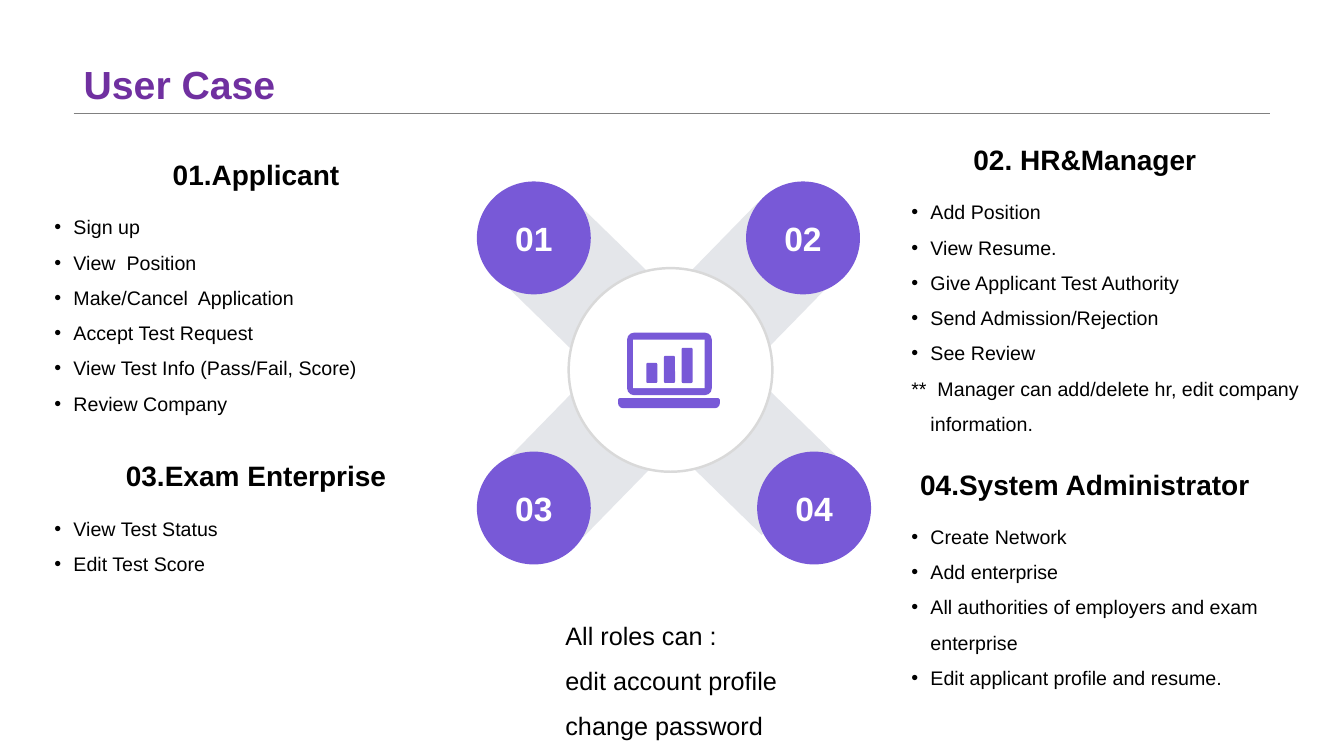
import math
from lxml import etree
from pptx import Presentation
from pptx import util as u
from pptx.dml.color import RGBColor
from pptx.enum import shapes, text
from pptx.oxml import ns

PURPLE, GREY, WHITE, BLACK = "7859D7", "E4E6EA", "FFFFFF", "000000"

# heading, heading left, list left, top, list width, list height, bullets, closing remark
SECTIONS = [
    ("01.Applicant", 0.72, 0.44, 1.49, 3.93, 2.2,
     ["Sign up", "View  Position", "Make/Cancel  Application", "Accept Test Request",
      "View Test Info (Pass/Fail, Score)", "Review Company"], None),
    ("02. HR&Manager", 8.94, 8.94, 1.34, 4.19, 2.55,
     ["Add Position", "View Resume.", "Give Applicant Test Authority",
      "Send Admission/Rejection", "See Review"],
     "**  Manager can add/delete hr, edit company information."),
    ("03.Exam Enterprise", 0.72, 0.44, 4.48, 3.93, 0.95,
     ["View Test Status", "Edit Test Score"], None),
    ("04.System Administrator", 8.94, 8.94, 4.56, 4.23, 1.85,
     ["Create Network", "Add enterprise",
      "All authorities of employers and exam enterprise",
      "Edit applicant profile and resume."], None),
]
BADGES = [("01", 4.73, 1.8), ("02", 7.4, 1.8), ("03", 4.73, 4.48), ("04", 7.51, 4.48)]


def colour(value):
    """Turn a hex string into a colour."""
    return RGBColor.from_string(value)


def paint(shape, fill, line=None, width=1):
    """Give a shape a flat fill, an optional outline and no shadow."""
    shape.shadow.inherit = False
    shape.fill.solid()
    shape.fill.fore_color.rgb = colour(fill)
    if line:
        shape.line.color.rgb = colour(line)
        shape.line.width = u.Pt(width)
    else:
        shape.line.fill.background()


def add_preset(page, kind, left, top, width, height, fill, line=None, weight=1):
    """Add a painted preset shape."""
    shape = page.shapes.add_shape(kind, *map(u.Inches, (left, top, width, height)))
    paint(shape, fill, line, weight)
    return shape


def write(para, words, size, ink=BLACK, bold=False, align=text.PP_ALIGN.LEFT, spacing=1.0):
    """Put one formatted run in a paragraph."""
    para.alignment = align
    para.line_spacing = spacing
    span = para.add_run()
    span.text = words
    span.font.name = "Arial"
    span.font.size = u.Pt(size)
    span.font.bold = bold
    span.font.color.rgb = colour(ink)


def add_lines(page, left, top, width, height, lines, size):
    """Add a wrapping text box with one widely spaced paragraph per line."""
    box = page.shapes.add_textbox(*map(u.Inches, (left, top, width, height)))
    frame = box.text_frame
    frame.word_wrap = True
    for index, words in enumerate(lines):
        para = frame.add_paragraph() if index else frame.paragraphs[0]
        write(para, words, size, spacing=1.5)
    return frame


def hang(para, bullet):
    """Give a paragraph a hanging indent, with or without a bullet."""
    props = para._p.get_or_add_pPr()
    props.set("marL", str(u.Inches(0.19)))
    props.set("indent", str(-u.Inches(0.19)))
    if bullet:
        etree.SubElement(props, ns.qn("a:buFont")).set("typeface", "Arial")
        etree.SubElement(props, ns.qn("a:buChar")).set("char", "•")
    else:
        etree.SubElement(props, ns.qn("a:buNone"))


def add_title(page, left, width, bottom):
    """Place the title on its thin rule."""
    title = page.shapes.title
    title.left, title.top, title.width, title.height = map(u.Inches, (left, 0, width, bottom))
    frame = title.text_frame
    frame.auto_size = text.MSO_AUTO_SIZE.NONE
    frame.vertical_anchor = text.MSO_ANCHOR.BOTTOM
    write(frame.paragraphs[0], "User Case", 28, "7030A0", True, spacing=0.9)
    rule = page.shapes.add_connector(
        shapes.MSO_CONNECTOR.STRAIGHT, *map(u.Inches, (left, bottom, left + width, bottom)))
    rule.line.color.rgb = colour("808080")
    rule.line.width = u.Pt(0.25)
    etree.SubElement(rule._element.spPr, ns.qn("a:effectLst"))


def add_arm(page, centre_x, centre_y, degrees):
    """Draw one straight band running outward from the hub."""
    cos, sin = math.cos(math.radians(degrees)), math.sin(math.radians(degrees))
    corners = [(u.Inches(centre_x + along * cos - across * sin),
                u.Inches(centre_y + along * sin + across * cos))
               for along, across in ((0.7, -0.54), (1.79, -0.54), (1.79, 0.54), (0.7, 0.54))]
    outline = page.shapes.build_freeform(*corners[0])
    outline.add_line_segments(corners[1:], close=True)
    paint(outline.convert_to_shape(), GREY)


def add_laptop(page, left, top):
    """Draw the laptop icon with its bar chart."""
    kind = shapes.MSO_SHAPE
    screen = add_preset(page, kind.ROUNDED_RECTANGLE, left + 0.09, top, 0.84, 0.62, PURPLE)
    screen.adjustments[0] = 0.11
    add_preset(page, kind.RECTANGLE, left + 0.15, top + 0.07, 0.71, 0.48, WHITE)
    for index, height in enumerate((0.2, 0.27, 0.35)):
        bar = add_preset(page, kind.ROUNDED_RECTANGLE, left + 0.28 + 0.175 * index,
                         top + 0.5 - height, 0.11, height, PURPLE)
        bar.adjustments[0] = 0.14
    base = add_preset(page, kind.ROUND_2_SAME_RECTANGLE, left, top + 0.65, 1.01, 0.1, PURPLE)
    base.adjustments[0], base.adjustments[1] = 0.2, 0.5


def add_hub(page, left, top, size):
    """Draw the arms, the central disc with its icon, and the numbered badges."""
    oval = shapes.MSO_SHAPE.OVAL
    for quarter in range(4):
        add_arm(page, left + size / 2, top + size / 2, -45.7 + 90 * quarter)
    add_preset(page, oval, left, top, size, size, WHITE, "D9D9D9", 1.75)
    add_laptop(page, left + 0.49, top + 0.64)
    for number, badge_left, badge_top in BADGES:
        badge = add_preset(page, oval, badge_left, badge_top, 1.13, 1.12, PURPLE)
        badge.text_frame.vertical_anchor = text.MSO_ANCHOR.MIDDLE
        write(badge.text_frame.paragraphs[0], number, 24, WHITE, True, text.PP_ALIGN.CENTER)


def add_section(page, heading, heading_left, left, top, width, height, bullets, remark):
    """Place a centred heading over its bulleted list."""
    box = page.shapes.add_textbox(*map(u.Inches, (heading_left, top, 3.64, 0.48)))
    frame = box.text_frame
    frame.word_wrap = False
    frame.vertical_anchor = text.MSO_ANCHOR.MIDDLE
    write(frame.paragraphs[0], heading, 20, bold=True, align=text.PP_ALIGN.CENTER)
    lines = bullets + ([remark] if remark else [])
    body = add_lines(page, left, top + 0.48, width, height, lines, 14)
    for index, para in enumerate(body.paragraphs):
        hang(para, index < len(bullets))


def build():
    """Build the deck and save it."""
    deck = Presentation()
    deck.slide_width, deck.slide_height = u.Inches(13.33), u.Inches(7.5)
    page = deck.slides.add_slide(deck.slide_layouts.get_by_name("Title Only"))
    add_title(page, 0.73, 11.87, 1.12)
    add_hub(page, 5.64, 2.66, 2.02)
    for section in SECTIONS:
        add_section(page, *section)
    add_lines(page, 5.51, 5.95, 2.3, 1.46,
              ["All roles can :", "edit account profile", "change password"], 18)
    deck.save("out.pptx")


build()
